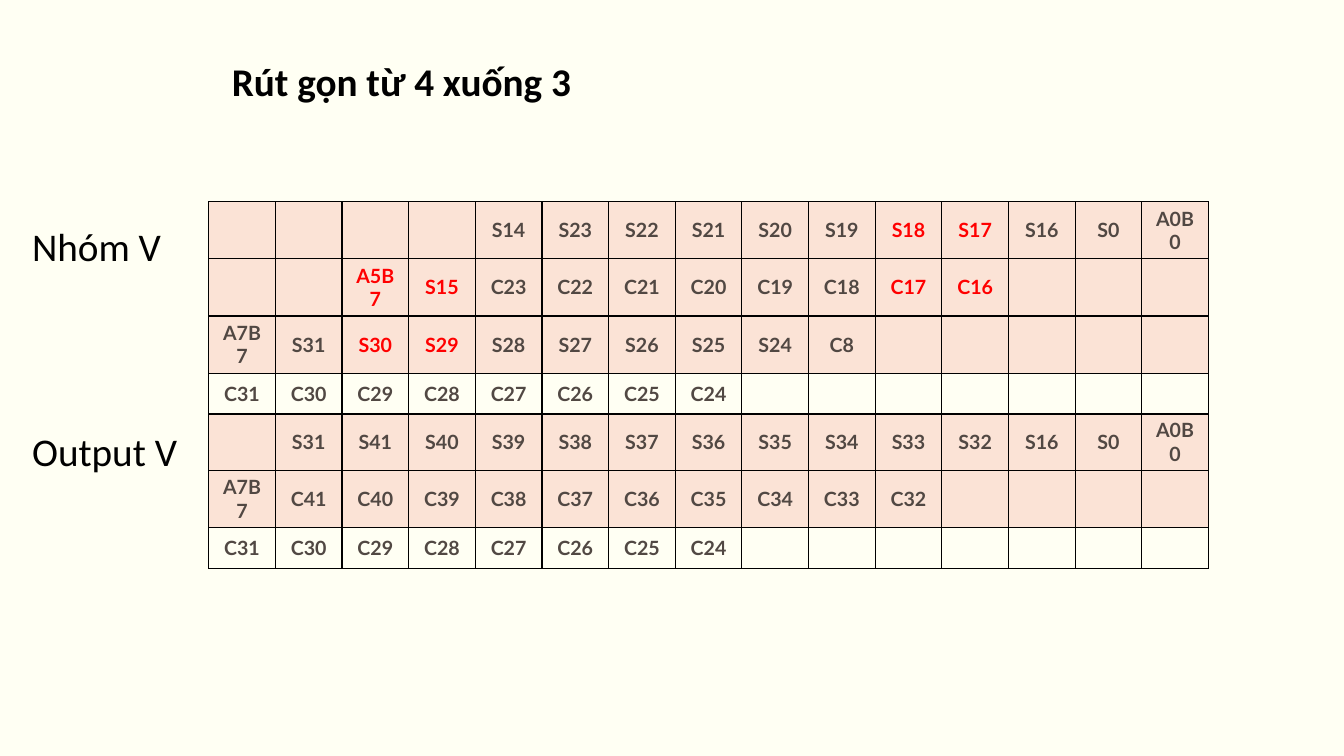
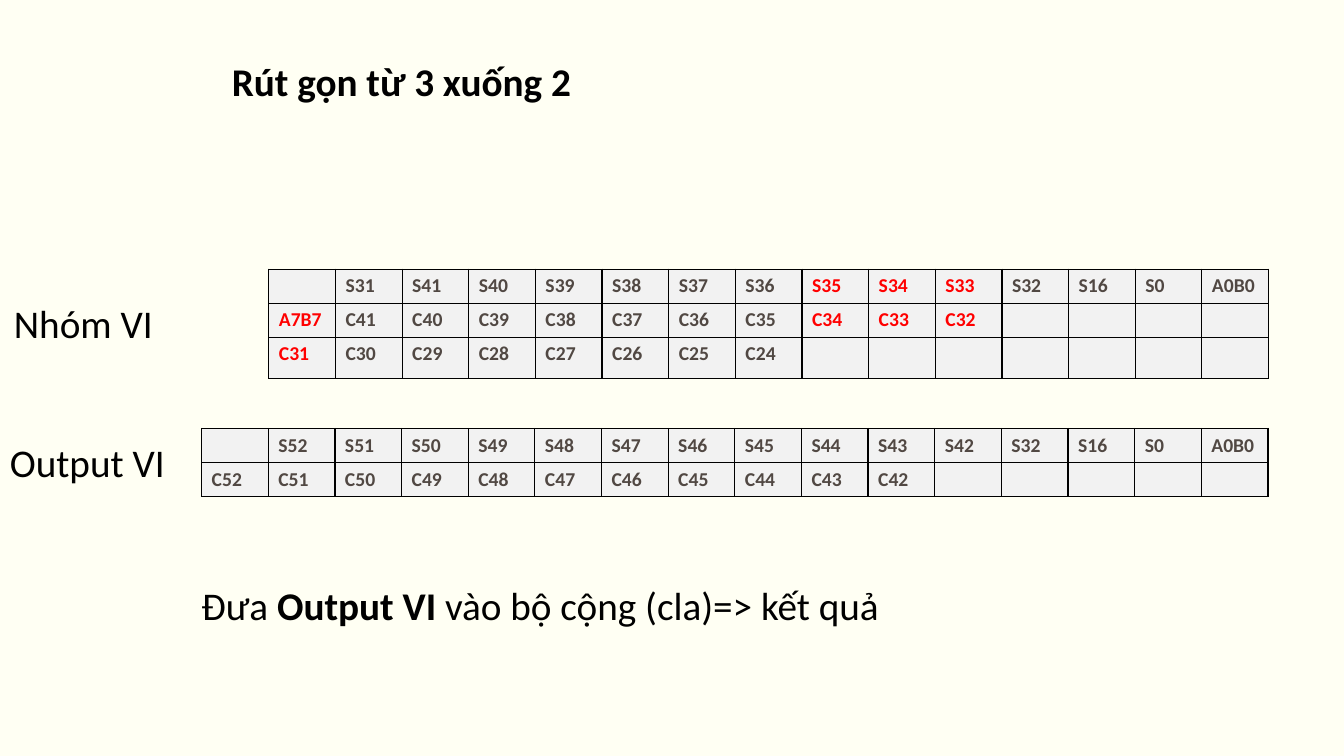
"""Build two slides that show the reduction steps of a multiplier tree."""
from dataclasses import dataclass

from lxml.etree import SubElement
from pptx import Presentation
from pptx.dml.color import RGBColor
from pptx.enum.text import MSO_ANCHOR as Anchor, MSO_AUTO_SIZE as AutoSize, PP_ALIGN as Align
from pptx.oxml.ns import qn
from pptx.util import Inches, Length, Pt

WIDTH, HEIGHT = Inches(13.33), Inches(7.5)
COLORS = {"page": "FFFFF3", "text": "000000", "bit": "514843", "used": "FF0000",
          "peach": "FBE3D6", "grey": "F2F2F2", "border": "000000"}
COLUMN = 4.96
TALL_ROW, PLAIN_ROW, SHORT_ROW = 7.55, 5.42, 4.5
LABEL_WIDTH, LABEL_HEIGHT = 15.38, 7.6
TITLE_AREA = (16.5, 6.93, 33.53, LABEL_HEIGHT)
EMPTY, USED_MARK = ".", "*"


@dataclass(frozen=True)
class CellStyle:
    font: str
    align: Align
    anchor: Anchor


@dataclass(frozen=True)
class BitRow:
    bits: str
    height: float
    fill: str | None


@dataclass(frozen=True)
class BitTable:
    left: float
    top: float
    columns: int
    rows: tuple[BitRow, ...]


@dataclass(frozen=True)
class Label:
    left: float
    top: float
    spans: tuple[tuple[str, bool], ...]
    width: float = LABEL_WIDTH


@dataclass(frozen=True)
class Page:
    title: str
    style: CellStyle
    tables: tuple[BitTable, ...]
    labels: tuple[Label, ...]


def peach(bits: str) -> BitRow:
    return BitRow(bits, TALL_ROW, "peach")


def grey(bits: str, height: float = SHORT_ROW) -> BitRow:
    return BitRow(bits, height, "grey")


CARRIES = "C31 C30 C29 C28 C27 C26 C25 C24"
PLAIN_CARRIES = BitRow(CARRIES, PLAIN_ROW, None)

PAGES = (
    Page(
        "Rút gọn từ 4 xuống 3",
        CellStyle("Lato", Align.CENTER, Anchor.MIDDLE),
        (
            BitTable(15.53, 54.67, 15, (
                peach(". S31 S41 S40 S39 S38 S37 S36 S35 S34 S33 S32 S16 S0 A0B0"),
                peach("A7B7 C41 C40 C39 C38 C37 C36 C35 C34 C33 C32"),
                PLAIN_CARRIES,
            )),
            BitTable(15.53, 26.67, 15, (
                peach(". . . . S14 S23 S22 S21 S20 S19 S18* S17* S16 S0 A0B0"),
                peach(". . A5B7* S15* C23 C22 C21 C20 C19 C18 C17* C16*"),
                peach("A7B7 S31 S30* S29* S28 S27 S26 S25 S24 C8"),
                PLAIN_CARRIES,
            )),
        ),
        (
            Label(1.65, 28.8, (("Nhóm V", False),)),
            Label(1.65, 55.87, (("Output V", False),)),
        ),
    ),
    Page(
        "Rút gọn từ 3 xuống 2",
        CellStyle("Calibri", Align.LEFT, Anchor.TOP),
        (
            BitTable(20, 35.6, 15, (
                grey(". S31 S41 S40 S39 S38 S37 S36 S35* S34* S33* S32 S16 S0 A0B0"),
                grey("A7B7* C41 C40 C39 C38 C37 C36 C35 C34* C33* C32*"),
                grey(CARRIES.replace("C31", "C31*"), PLAIN_ROW),
            )),
            BitTable(15, 56.67, 16, (
                grey(". S52 S51 S50 S49 S48 S47 S46 S45 S44 S43 S42 S32 S16 S0 A0B0"),
                grey("C52 C51 C50 C49 C48 C47 C46 C45 C44 C43 C42"),
            )),
        ),
        (
            Label(0.3, 38.93, (("Nhóm VI", False),)),
            Label(0, 57.33, (("Output VI", False),)),
            Label(14.25, 76.27, (("Đưa ", False), ("Output VI ", True),
                                 ("vào bộ cộng (cla)=> kết quả", False)), 81.02),
        ),
    ),
)


def across(percent: float) -> Length:
    return Length(round(WIDTH * percent / 100))


def down(percent: float) -> Length:
    return Length(round(HEIGHT * percent / 100))


def area(left: float, top: float, width: float, height: float) -> tuple[Length, ...]:
    return across(left), down(top), across(width), down(height)


def add_span(para, text: str, color: str, **values) -> None:
    span = para.add_run()
    span.text = text
    for name, value in values.items():
        setattr(span.font, name, value)
    span.font.color.rgb = RGBColor.from_string(COLORS[color])


def add_borders(cell) -> None:
    properties = cell._tc.get_or_add_tcPr()
    for side in ("lnL", "lnR", "lnT", "lnB"):
        line = SubElement(properties, qn(f"a:{side}"), w=str(Pt(1)))
        fill = SubElement(line, qn("a:solidFill"))
        SubElement(fill, qn("a:srgbClr"), val=COLORS["border"])


def fill_cell(cell, bit: str, fill: str | None, style: CellStyle) -> None:
    add_borders(cell)
    if fill:
        cell.fill.solid()
        cell.fill.fore_color.rgb = RGBColor.from_string(COLORS[fill])
    else:
        cell.fill.background()
    cell.vertical_anchor = style.anchor
    para = cell.text_frame.paragraphs[0]
    para.alignment = style.align
    if bit == EMPTY:
        SubElement(para._p, qn("a:endParaRPr"), sz="1400")
    else:
        color = "used" if bit.endswith(USED_MARK) else "bit"
        add_span(para, bit.rstrip(USED_MARK), color, name=style.font, size=Pt(14), bold=True)


def add_bit_table(slide, table: BitTable, style: CellStyle) -> None:
    height = sum(row.height for row in table.rows)
    frame = slide.shapes.add_table(
        len(table.rows), table.columns,
        *area(table.left, table.top, COLUMN * table.columns, height))
    grid = frame.table
    grid.first_row = grid.horz_banding = False
    for column in grid.columns:
        column.width = across(COLUMN)
    for grid_row, row in zip(grid.rows, table.rows):
        grid_row.height = down(row.height)
        bits = row.bits.split()
        bits += [EMPTY] * (table.columns - len(bits))
        for cell, bit in zip(grid_row.cells, bits):
            fill_cell(cell, bit, row.fill, style)


def write_text(box, spans: tuple[tuple[str, bool], ...]) -> None:
    frame = box.text_frame
    settings = {"word_wrap": True, "auto_size": AutoSize.SHAPE_TO_FIT_TEXT,
                "vertical_anchor": Anchor.TOP}
    for name, value in settings.items():
        setattr(frame, name, value)
    para = frame.paragraphs[0]
    para.alignment = Align.LEFT
    for text, bold in spans:
        add_span(para, text, "text", name="Calibri", size=Pt(28), bold=bold)


def add_label(slide, label: Label) -> None:
    box = slide.shapes.add_textbox(*area(label.left, label.top, label.width, LABEL_HEIGHT))
    write_text(box, label.spans)


def add_page(deck, page: Page) -> None:
    slide = deck.slides.add_slide(deck.slide_layouts[5])
    title = slide.shapes.title
    for name, value in zip(("left", "top", "width", "height"), area(*TITLE_AREA)):
        setattr(title, name, value)
    write_text(title, ((page.title, True),))
    for table in page.tables:
        add_bit_table(slide, table, page.style)
    for label in page.labels:
        add_label(slide, label)


def main() -> None:
    deck = Presentation()
    deck.slide_width, deck.slide_height = WIDTH, HEIGHT
    background = deck.slide_master.background.fill
    background.solid()
    background.fore_color.rgb = RGBColor.from_string(COLORS["page"])
    for page in PAGES:
        add_page(deck, page)
    deck.save("out.pptx")


if __name__ == "__main__":
    main()
